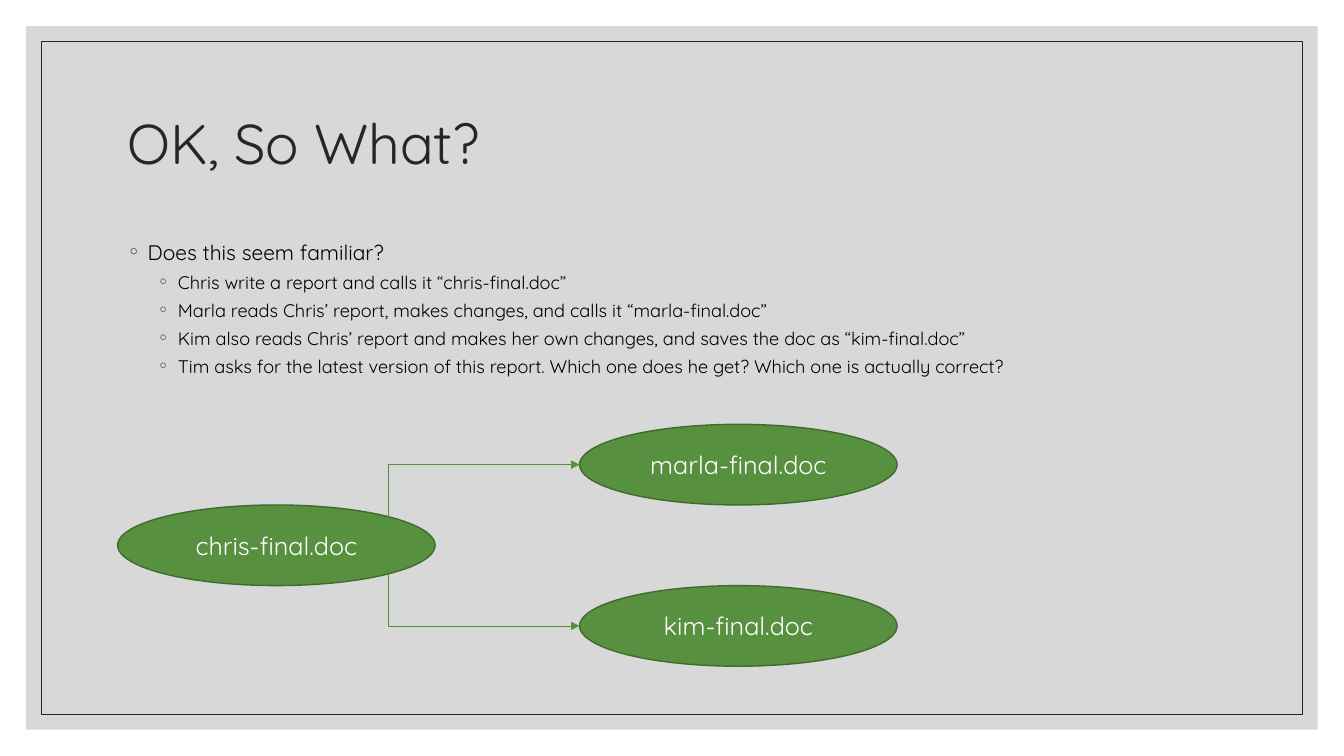
import pptx
import pptx.util
import pptx.dml.color
import pptx.enum.shapes
import pptx.enum.text
import pptx.oxml
import pptx.oxml.ns
import lxml.etree

RGB = pptx.dml.color.RGBColor
WHITE = RGB(0xFF, 0xFF, 0xFF)
BLACK = RGB(0, 0, 0)
INK = RGB(0x26, 0x26, 0x26)
GREY = RGB(0xBF, 0xBF, 0xBF)
GREEN = RGB(0x57, 0x90, 0x3F)
DARK_GREEN = RGB(0x40, 0x6B, 0x2F)

SHAPES = pptx.enum.shapes.MSO_SHAPE
ANCHOR = pptx.enum.text.MSO_ANCHOR
COLUMNS, ROWS = 80, 45  # square cells, six to the inch


def add_xml(parent, tag, **attributes):
    return lxml.etree.SubElement(parent, pptx.oxml.ns.qn(tag), attributes)


class Board:
    """A slide on a grid of cells, with one typeface."""

    font = "Quicksand"

    def __init__(self, presentation):
        self.slide = presentation.slides.add_slide(presentation.slide_layouts[6])
        self.column = presentation.slide_width / COLUMNS
        self.row = presentation.slide_height / ROWS

    def place(self, left, top, width, height):
        return (round(left * self.column), round(top * self.row),
                round(width * self.column), round(height * self.row))

    def style(self, paragraph, size, color):
        for run in paragraph.runs:
            run.font.name = self.font
            run.font.size = pptx.util.Pt(size)
            run.font.color.rgb = color

    def shape(self, kind, box, fill=None, line=None, weight=0.5, alpha=None):
        shape = self.slide.shapes.add_shape(kind, *self.place(*box))
        shape.shadow.inherit = False
        if fill is None:
            shape.fill.background()
        else:
            shape.fill.solid()
            shape.fill.fore_color.rgb = fill
        if alpha is not None:
            color = shape.fill._xPr.find(".//" + pptx.oxml.ns.qn("a:srgbClr"))
            add_xml(color, "a:alpha", val=str(alpha * 1000))
        if line is None:
            shape.line.fill.background()
        else:
            shape.line.color.rgb = line
            shape.line.width = pptx.util.Pt(weight)
        return shape

    def text(self, box, anchor):
        frame = self.slide.shapes.add_textbox(*self.place(*box)).text_frame
        frame.word_wrap = True
        frame.vertical_anchor = anchor
        return frame

    def title(self, box, words):
        paragraph = self.text(box, ANCHOR.MIDDLE).paragraphs[0]
        paragraph.text = words
        paragraph.line_spacing = 0.9
        self.style(paragraph, 40, INK)

    def bullets(self, box, items):
        frame = self.text(box, ANCHOR.TOP)
        # level: size, line spacing, space before, indent in inches
        levels = [(15, 1.1, 9, 0.2), (13, 1.0, 4.5, 0.5)]
        for number, (level, words) in enumerate(items):
            paragraph = frame.add_paragraph() if number else frame.paragraphs[0]
            size, spacing, before, indent = levels[level]
            paragraph.text = words
            paragraph.level = level
            paragraph.line_spacing = spacing
            paragraph.space_before = pptx.util.Pt(before)
            self.style(paragraph, size, BLACK)
            properties = paragraph._p.get_or_add_pPr()
            properties.set("marL", str(pptx.util.Inches(indent)))
            properties.set("indent", str(pptx.util.Inches(-0.2)))
            add_xml(add_xml(properties, "a:buClr"), "a:srgbClr", val=str(INK))
            add_xml(properties, "a:buFont", typeface=self.font)
            add_xml(properties, "a:buChar", char="◦")

    def document(self, box, name):
        oval = self.shape(SHAPES.OVAL, box, GREEN, DARK_GREEN, 1)
        oval.text_frame.text = name
        oval.text_frame.vertical_anchor = ANCHOR.MIDDLE
        paragraph = oval.text_frame.paragraphs[0]
        paragraph.alignment = pptx.enum.text.PP_ALIGN.CENTER
        self.style(paragraph, 18, WHITE)

    def elbow(self, tip, origin):
        """One-bend arrow: leaves origin vertically, reaches tip horizontally."""
        arrow = self.slide.shapes.add_connector(
            pptx.enum.shapes.MSO_CONNECTOR.ELBOW, *self.place(*tip, *origin))
        arrow.line.color.rgb = GREEN
        arrow.line.width = pptx.util.Pt(0.5)
        properties = arrow._element.spPr
        properties.find(pptx.oxml.ns.qn("a:prstGeom")).set("prst", "bentConnector2")
        add_xml(arrow.line._get_or_add_ln(), "a:headEnd", type="triangle")
        add_xml(properties, "a:effectLst")


def main():
    presentation = pptx.Presentation()
    presentation.slide_width = pptx.util.Inches(13.33)
    presentation.slide_height = pptx.util.Inches(7.5)
    board = Board(presentation)

    # Backdrop and frame
    for inset, look in ((1.56, {"fill": GREY, "alpha": 60}),
                        (2.46, {"line": INK})):
        board.shape(SHAPES.RECTANGLE, (inset, inset, COLUMNS - 2 * inset,
                                       ROWS - 2 * inset), **look)

    # Title and story
    margin, text_width = 7, 66
    board.title((margin, 4.2, text_width, 9), "OK, So What?")
    board.bullets((margin, 13.8, text_width, 25.26), [
        (0, "Does this seem familiar?"),
        (1, "Chris write a report and calls it “chris-final.doc”"),
        (1, "Marla reads Chris’ report, makes changes, and calls it “marla-final.doc”"),
        (1, "Kim also reads Chris’ report and makes her own changes, "
            "and saves the doc as “kim-final.doc”"),
        (1, "Tim asks for the latest version of this report. "
            "Which one does he get? Which one is actually correct?"),
    ])

    # Report and its two diverging versions, one oval height apart
    width, height = 18.9, 4.8
    report_top, version_left = 30.06, 34.5
    middle = report_top + height / 2
    board.document((margin, report_top, width, height), "chris-final.doc")
    diagonal = 0.5 ** 0.5  # arrows leave the oval at 45 degrees
    origin_x = margin + width / 2 * (1 + diagonal)
    for side, name in ((-1, "marla-final.doc"), (1, "kim-final.doc")):
        shift = side * height
        board.document((version_left, report_top + shift, width, height), name)
        board.elbow((version_left, middle + shift),
                    (origin_x, middle + shift / 2 * diagonal))

    presentation.save("out.pptx")


if __name__ == "__main__":
    main()
